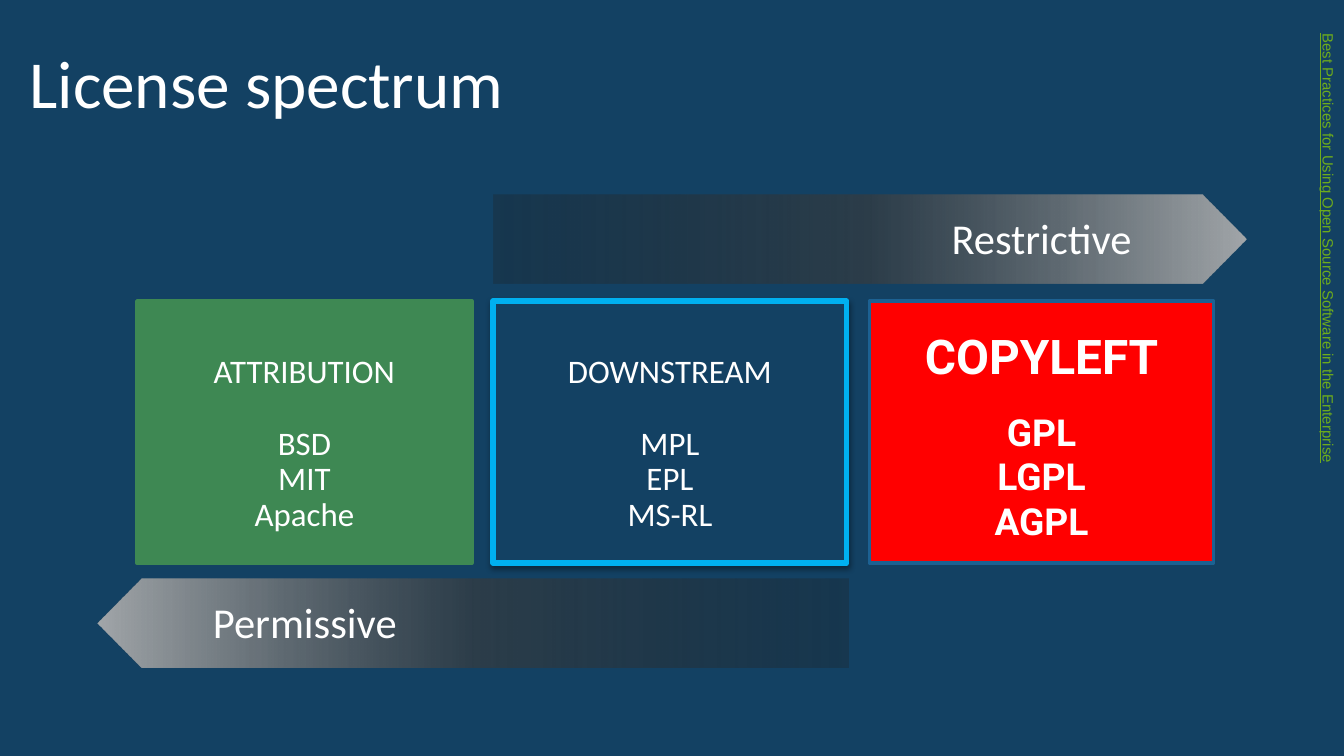
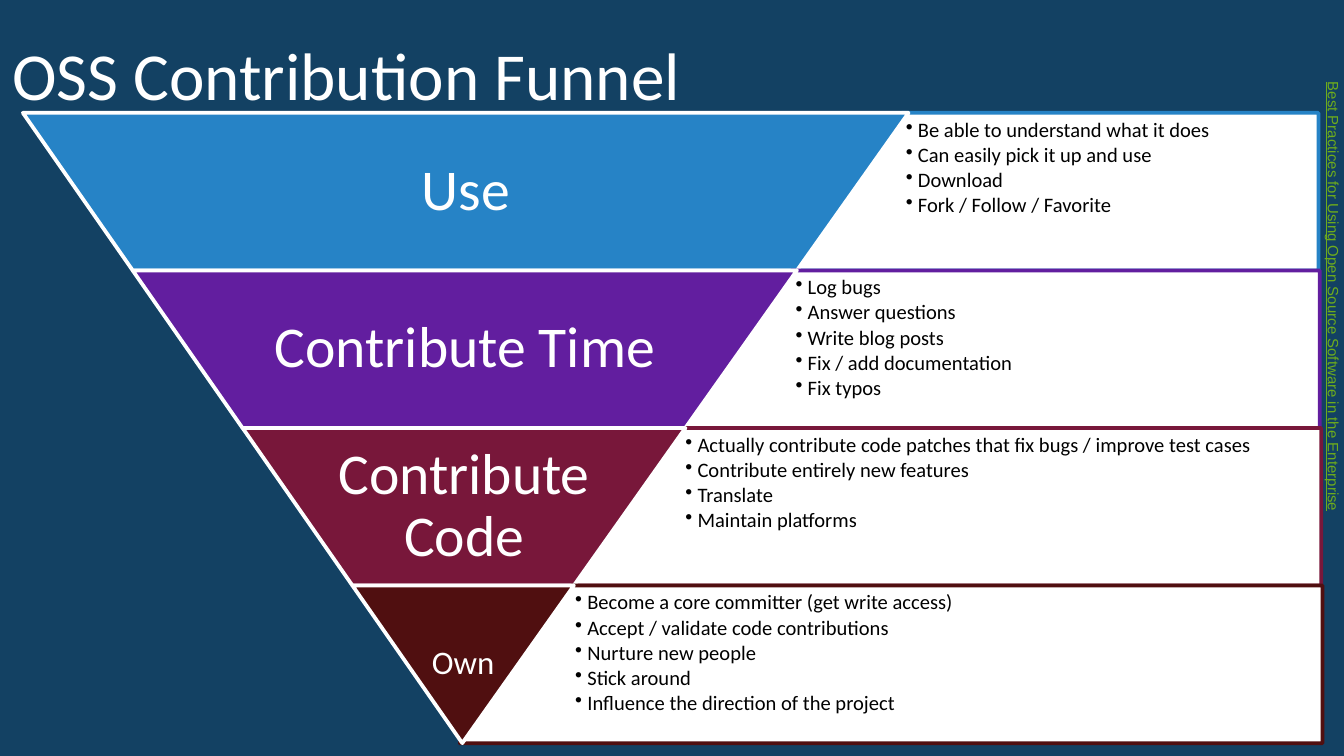
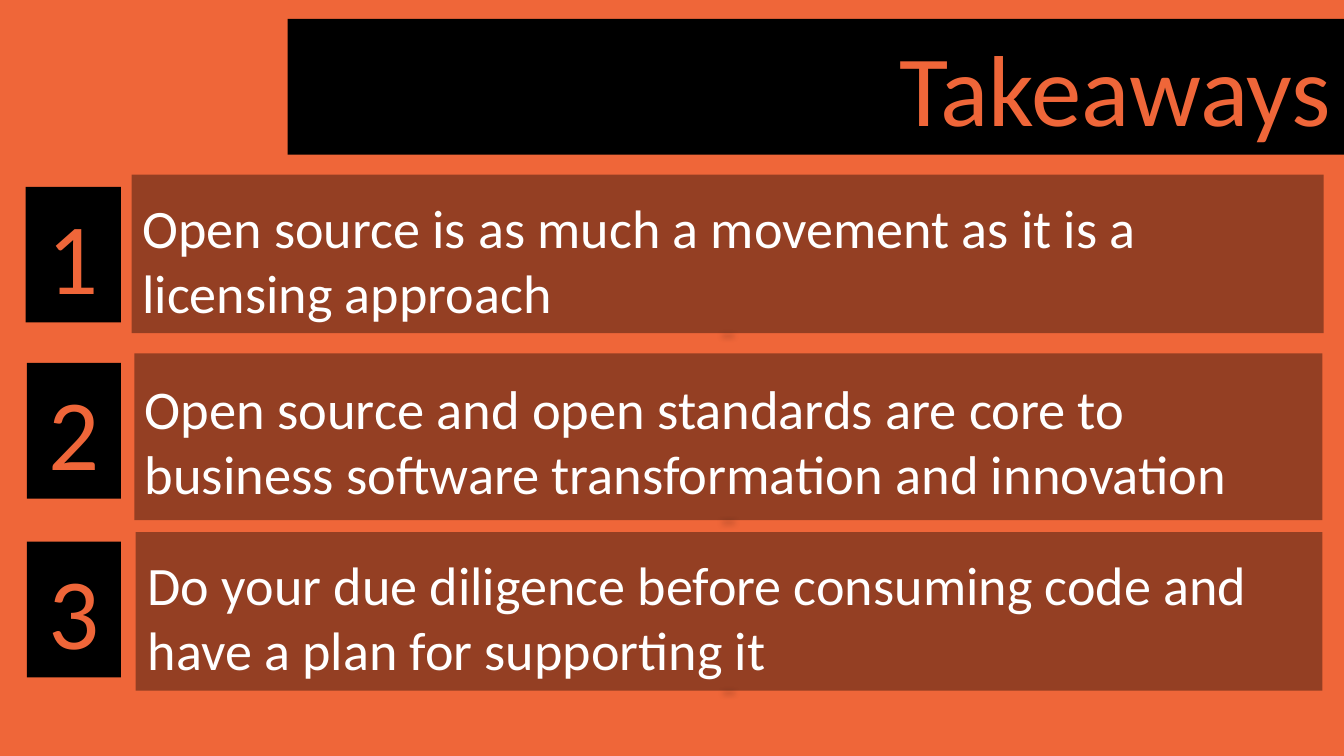
"""Build three slides on open source licences, contribution and takeaways."""
from lxml import etree
from pptx import Presentation
from pptx import util as u
from pptx.dml.color import RGBColor
from pptx.enum import shapes, text
from pptx.oxml.ns import qn

C = {"navy": "134163", "orange": "EF6639", "black": "000000", "white": "FFFFFF",
     "green": "3E8853", "cyan": "00B0F0", "red": "FF0000", "red_edge": "1C6192",
     "label": "6EAC1C", "use": "2683C6", "time": "621E9F", "code": "78173A",
     "own": "500F10", "dark": "202020", "mid": "3C3C3C", "light": "B2B2B2"}
SIDE_TEXT = "Best Practices for Using Open Source Software in the Enterprise"
RECT = shapes.MSO_SHAPE.RECTANGLE
LEFT, CENTER, RIGHT = text.PP_ALIGN.LEFT, text.PP_ALIGN.CENTER, text.PP_ALIGN.RIGHT
TOP, MIDDLE = text.MSO_ANCHOR.TOP, text.MSO_ANCHOR.MIDDLE


def style(sp, fill, line=None, width=2, alpha=100, shadow=None):
    sp.fill.solid()
    sp.fill.fore_color.rgb = RGBColor.from_string(C[fill])
    if alpha < 100:
        clr = sp._element.spPr.find(".//" + qn("a:srgbClr"))
        etree.SubElement(clr, qn("a:alpha"), val=str(alpha * 1000))
    if line:
        sp.line.color.rgb = RGBColor.from_string(C[line])
        sp.line.width = u.Pt(width)
    else:
        sp.line.fill.background()
    sp.shadow.inherit = False
    if shadow:
        effects = sp._element.spPr.find(qn("a:effectLst"))
        outer = etree.SubElement(effects, qn("a:outerShdw"), dir="5400000",
                                 blurRad=str(u.Pt(3.1)), **shadow["attrs"])
        clr = etree.SubElement(outer, qn("a:srgbClr"), val=C["black"])
        etree.SubElement(clr, qn("a:alpha"), val=str(shadow["alpha"] * 1000))


def write(sp, lines, size, color="white", font="Calibri", align=LEFT, anchor=TOP,
          ins=(0.1, 0.05, 0.1, 0.05), spacing=1.0, after=0, indent=0, bullet=False):
    tf = sp.text_frame
    tf.word_wrap = True
    tf.auto_size = text.MSO_AUTO_SIZE.NONE
    tf.vertical_anchor = anchor
    tf.margin_left, tf.margin_top, tf.margin_right, tf.margin_bottom = map(u.Inches, ins)
    for i, line in enumerate(lines):
        p = tf.add_paragraph() if i else tf.paragraphs[0]
        p.alignment = align
        p.line_spacing = spacing
        p.space_before = u.Pt(0)
        p.space_after = u.Pt(after)
        if indent:
            pPr = p._p.get_or_add_pPr()
            pPr.set("marL", str(u.Inches(indent)))
            pPr.set("indent", str(-u.Inches(indent) if bullet else 0))
            if bullet:
                etree.SubElement(pPr, qn("a:buChar"), char="•")
        r = p.add_run()
        r.text = line
        r.font.size = u.Pt(size)
        r.font.name = font
        r.font.color.rgb = RGBColor.from_string(C[color])
    return tf


prs = Presentation()
prs.slide_width = u.Inches(10)
prs.slide_height = prs.slide_width * 9 // 16

slides = []
for title, back, box, look in [
        ("License spectrum", "navy", (0.22, 0.24, 9.56, 0.74),
         dict(size=36, anchor=MIDDLE, ins=(0, 0, 0, 0))),
        ("OSS Contribution Funnel", "navy", (0.09, 0, 8.62, 1.09),
         dict(size=36, anchor=MIDDLE, ins=(0, 0, 0, 0))),
        ("Takeaways", "orange", (2.14, 0.14, 7.86, 1.01),
         dict(size=54, color="orange", align=RIGHT))]:
    s = prs.slides.add_slide(prs.slide_layouts[5])
    s.background.fill.solid()
    s.background.fill.fore_color.rgb = RGBColor.from_string(C[back])
    sp = s.shapes.title
    sp.left, sp.top, sp.width, sp.height = map(u.Inches, box)
    write(sp, [title], **look)
    slides.append(s)
spectrum, funnel, takeaways = slides
style(takeaways.shapes.title, "black")

soft = {"alpha": 38, "attrs": {"dist": str(u.Pt(1.6)), "algn": "ctr", "rotWithShape": "0"}}
plain = dict(size=17.6, ins=(0.15, 0.4, 0.15, 0.12), spacing=0.9)
strong = dict(size=19.9, font="Roboto", ins=(0.1, 0.19, 0.1, 0.05))
for x, w, fill, edge, width, shadow, look, gap, lines in [
        (1.02, 2.49, "green", "green", 2, None, plain, 19.5,
         ["ATTRIBUTION", "BSD", "MIT", "Apache"]),
        (3.67, 2.63, "navy", "cyan", 3, soft, plain, 19.5,
         ["DOWNSTREAM", "MPL", "EPL", "MS-RL"]),
        (6.47, 2.56, "red", "red_edge", 2, None, strong, 13.5,
         ["COPYLEFT", "GPL", "LGPL", "AGPL"])]:
    sp = spectrum.shapes.add_shape(RECT, u.Inches(x), u.Inches(2.24), u.Inches(w), u.Inches(1.95))
    style(sp, fill, edge, width, shadow=shadow)
    tf = write(sp, lines, align=CENTER, **look)
    tf.paragraphs[1].space_before = u.Pt(gap)
    if look is strong:
        for p in tf.paragraphs:
            p.runs[0].font.bold = True
        tf.paragraphs[0].runs[0].font.size = u.Pt(25.6)

for label, x, y, w, indent, flip in [("Permissive", 0.73, 4.31, 5.58, 0.62, True),
                                     ("Restrictive", 3.67, 1.45, 5.6, 3.34, False)]:
    sp = spectrum.shapes.add_shape(shapes.MSO_SHAPE.PENTAGON, u.Inches(x), u.Inches(y),
                                   u.Inches(w), u.Inches(0.66))
    style(sp, "dark")
    sp.fill.gradient()
    sp.fill.gradient_angle = 0
    stops = sp._element.spPr.find(".//" + qn("a:gsLst"))
    stops.clear()
    for pos, color, alpha in [(0, "dark", 29), (50, "mid", 63), (100, "light", 90)]:
        gs = etree.SubElement(stops, qn("a:gs"), pos=str(pos * 1000))
        clr = etree.SubElement(gs, qn("a:srgbClr"), val=C[color])
        etree.SubElement(clr, qn("a:alpha"), val=str(alpha * 1000))
    if flip:
        sp._element.spPr.find(qn("a:xfrm")).set("flipH", "1")
    write(sp, [label], 22.8, anchor=MIDDLE, ins=(0.07, 0.04, 0.04, 0.07), indent=indent)

top, tip_x, tip_y = 0.84, 3.44, 5.53
left, right = 0.17, 6.76
levels = [
    ("Use", "use", 30.9, 1.19,
     ["Be able to understand what it does", "Can easily pick it up and use",
      "Download", "Fork / Follow / Favorite"]),
    ("Contribute Time", "time", 30.9, 0.9,
     ["Log bugs", "Answer questions", "Write blog posts", "Fix / add documentation",
      "Fix typos"]),
    ("Contribute Code", "code", 30.9, 0.61,
     ["Actually contribute code patches that fix bugs / improve test cases",
      "Contribute entirely new features", "Translate", "Maintain platforms"]),
    ("Own", "own", 17.6, 0.02,
     ["Become a core committer (get write access)", "Accept / validate code contributions",
      "Nurture new people", "Stick around", "Influence the direction of the project"])]
step = (tip_y - top) / len(levels)
left_step = (tip_x - left) / len(levels)
right_step = (right - tip_x) / len(levels)
for i, (label, color, size, side, notes) in enumerate(levels):
    y1, y2 = top + i * step, top + (i + 1) * step
    note_x, note_right = 5.88 - 0.82 * i, 9.81 + 0.01 * i
    note = [(note_x, y2), (note_x + 0.83, y1), (note_right, y1), (note_right, y2)]
    band = [(right - i * right_step, y1), (right - (i + 1) * right_step, y2),
            (left + (i + 1) * left_step, y2), (left + i * left_step, y1)]
    parts = []
    for outline in (note, band):
        pts = [(u.Inches(x), u.Inches(y)) for x, y in outline]
        fb = funnel.shapes.build_freeform(*pts[0])
        fb.add_line_segments(pts[1:], close=True)
        parts.append(fb.convert_to_shape())
    style(parts[0], "white", color)
    write(parts[0], notes, 11, "black", ins=(0.86, 0.05, 0.05, 0.05), spacing=0.9,
          after=1.6, indent=0.09, bullet=True)
    style(parts[1], color, "white")
    write(parts[1], [label], size, align=CENTER, anchor=MIDDLE,
          ins=(side, 0.04, side, 0.04), spacing=0.9)

for s, x, y, w in [(spectrum, 7.38, 2.53, 5), (funnel, 7.4, 2.91, 5.04)]:
    sp = s.shapes.add_textbox(u.Inches(x), u.Inches(y), u.Inches(w), u.Inches(0.24))
    sp.rotation = 90
    tf = write(sp, [SIDE_TEXT], 8, "label", "Arial")
    tf.paragraphs[0].runs[0].font.underline = True

speck = {"alpha": 100, "attrs": {"dist": str(u.Pt(1.8)), "sx": "1000", "sy": "1000",
                                 "algn": "b", "rotWithShape": "0"}}
for i, (line, size, num_box, bar_box, text_box) in enumerate([
        ("Open source is as much a movement as it is a licensing approach", 29,
         (0.19, 1.39, 0.71, 1.01), (0.98, 1.3, 8.87, 1.18), (0.96, 1.35, 8.19, 1.16)),
        ("Open source and open standards are core to business software "
         "transformation and innovation", 29.2,
         (0.2, 2.7, 0.7, 1.01), (1, 2.63, 8.84, 1.24), (0.98, 2.67, 8.86, 1.21)),
        ("Do your due diligence before consuming code and have a plan for supporting it", 29,
         (0.2, 4.03, 0.7, 1.01), (1.01, 3.96, 8.83, 1.18), (1, 4.01, 8.85, 1.16))], 1):
    sp = takeaways.shapes.add_shape(RECT, *map(u.Inches, bar_box))
    style(sp, "black", alpha=38, shadow=speck)
    sp = takeaways.shapes.add_textbox(*map(u.Inches, text_box))
    write(sp, [line], size, anchor=MIDDLE)
    sp = takeaways.shapes.add_shape(RECT, *map(u.Inches, num_box))
    style(sp, "black")
    write(sp, [str(i)], 54, "orange", align=CENTER)

prs.save("out.pptx")
